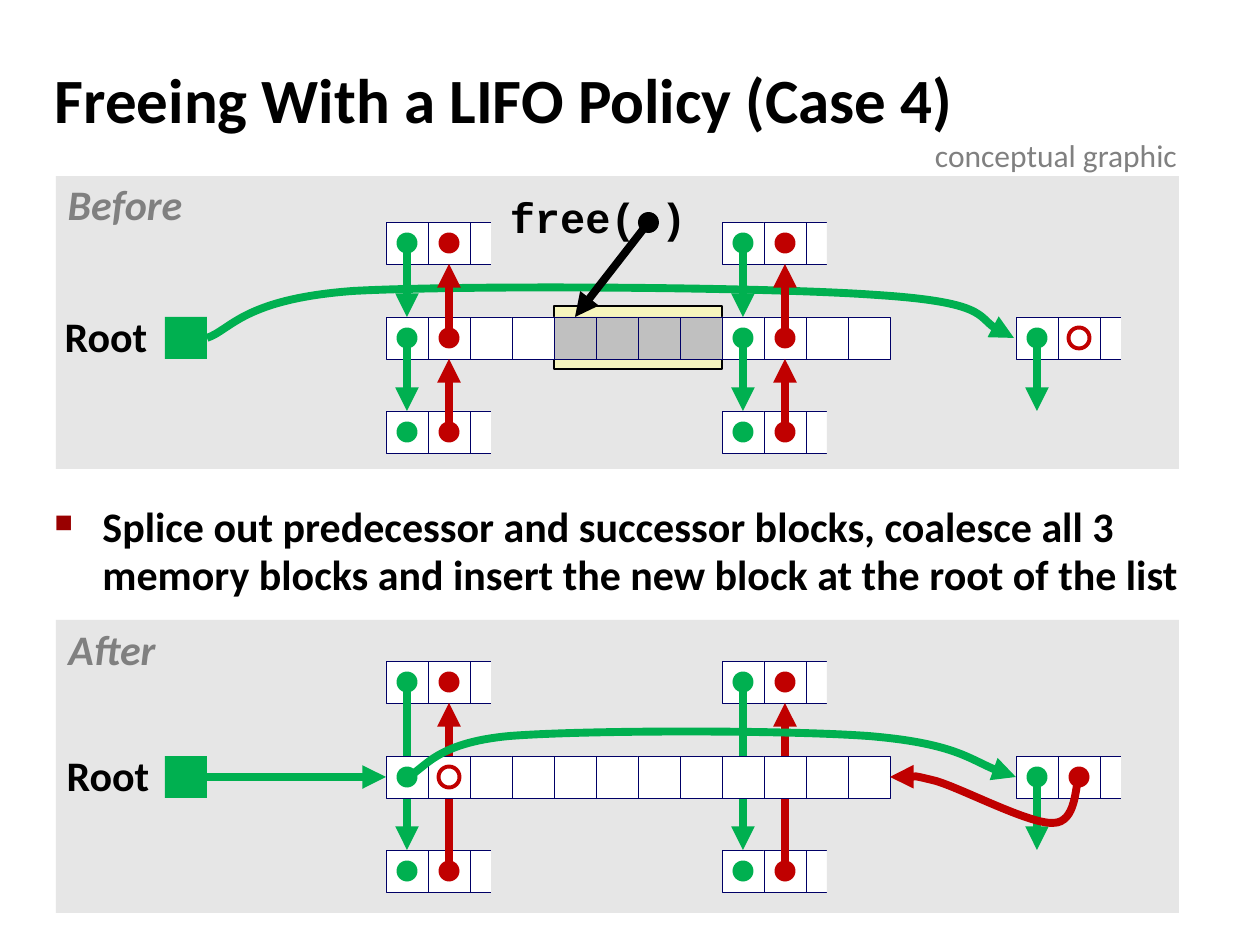
from lxml import etree
from pptx import Presentation
from pptx import util as u
from pptx.dml.color import RGBColor
from pptx.enum import shapes, text
from pptx.oxml.ns import qn

GREEN, RED, BLACK, WHITE, NAVY = "00B050", "C00000", "000000", "FFFFFF", "000066"
PANEL, GREY, FREED, YELLOW = "E6E6E6", "808080", "C0C0C0", "F6F5BD"

TITLE = "Freeing With a LIFO Policy (Case 4)"
STEP = ("Splice out predecessor and successor blocks, coalesce all 3 memory blocks "
        "and insert the new block at the root of the list")
CELL, DOT, LEFT, ROOT_X = 42, 21, 386, 165
BLOCK_COLS = 12

BEFORE = dict(
    panel=(56, 176, 1123, 293), rows=(222, 317, 411),
    label=("Before", 60, 178, 130), root=(58, 310), block_first=True, freed=range(4, 8),
    links=[(GREEN, c, r, r + 1) for c in (0, 8) for r in (0, 1)]
    + [(RED, c, r, r - 1) for c in (1, 9) for r in (2, 1)],
    dots={GREEN: [(c, r) for c in (0, 8) for r in range(3)] + [(15, 1)],
          RED: [(c, r) for c in (1, 9) for r in range(3)]},
    ring=(16, 1),
    under=[(GREEN, [(207, 338), (231, 330), (243, 299), (354, 291), (466, 285), (765, 287),
                    (876, 295), (985, 302), (985, 329), (1014, 338)])],
    over=[])
AFTER = dict(
    panel=(56, 620, 1123, 293), rows=(661, 756, 850),
    label=("After", 61, 623, 102), root=(60, 749), block_first=False, freed=(),
    links=[(GREEN, c, 0, 2) for c in (0, 8)] + [(RED, c, 2, 0) for c in (1, 9)],
    dots={GREEN: [(0, 0), (0, 1), (0, 2), (8, 0), (8, 2), (15, 1)],
          RED: [(c, r) for c in (1, 9) for r in (0, 2)] + [(16, 1)]},
    ring=(1, 1),
    under=[],
    over=[(GREEN, [(407, 777), (425, 770), (433, 743), (510, 736), (587, 730), (784, 730),
                   (868, 736), (953, 743), (985, 769), (1016, 777)]),
          (RED, [(1079, 777), (1075, 785), (1077, 823), (1053, 823), (1029, 824), (963, 789),
                 (936, 781), (908, 774), (900, 777), (890, 777)])])
STUBS = [(0, 0), (8, 0), (0, 2), (8, 2), (15, 1)]


def px(n):
    return u.Emu(round(n * 914400 / 126))


def rgb(color):
    return RGBColor.from_string(color)


def box(parent, kind, x, y, w, h, fill=None, line=None, weight=0.25):
    part = parent.add_shape(kind, px(x), px(y), px(w), px(h))
    part.shadow.inherit = False
    if fill:
        part.fill.solid()
        part.fill.fore_color.rgb = rgb(fill)
    else:
        part.fill.background()
    if line:
        part.line.color.rgb = rgb(line)
        part.line.width = u.Pt(weight)
    else:
        part.line.fill.background()
    return part


def rect(parent, *args, **style):
    return box(parent, shapes.MSO_SHAPE.RECTANGLE, *args, **style)


def cell(parent, x, y, fill=WHITE):
    return rect(parent, x, y, CELL, CELL, fill, NAVY)


def dot(x, y, fill=None, line=None):
    box(slide.shapes, shapes.MSO_SHAPE.OVAL, x - DOT / 2, y - DOT / 2, DOT, DOT, fill, line, 2.25)


def arrowhead(part, color):
    part.line.color.rgb = rgb(color)
    part.line.width = u.Pt(4.5)
    etree.SubElement(part.line._get_or_add_ln(), qn("a:tailEnd"), type="triangle")


def arrow(color, x1, y1, x2, y2):
    link = slide.shapes.add_connector(shapes.MSO_CONNECTOR.STRAIGHT, px(x1), px(y1), px(x2), px(y2))
    arrowhead(link, color)
    etree.SubElement(link._element.spPr, qn("a:effectLst"))
    return link


def curve(color, points):
    builder = slide.shapes.build_freeform(*points[0], scale=px(1))
    builder.add_line_segments(points[1:], close=False)
    bend = builder.convert_to_shape()
    bend.shadow.inherit = False
    bend.fill.background()
    arrowhead(bend, color)
    outline = next(bend._element.iter(qn("a:path")))
    segments = outline.findall(qn("a:lnTo"))
    for i in range(0, len(segments), 3):
        bezier = etree.SubElement(outline, qn("a:cubicBezTo"))
        for segment in segments[i:i + 3]:
            bezier.append(segment[0])
            outline.remove(segment)


def write(frame, words, size, color=BLACK, face="Calibri", bold=True, italic=False, spacing=None):
    frame.text = words
    line = frame.paragraphs[0]
    line.line_spacing = spacing
    font = line.runs[0].font
    font.size, font.name, font.bold, font.italic = u.Pt(size), face, bold, italic
    font.color.rgb = rgb(color)
    return line


def label(words, x, y, w, h=59, inset=6, size=24, align=text.PP_ALIGN.CENTER, spacing=0.9, **style):
    frame = slide.shapes.add_textbox(px(x), px(y), px(w), px(h)).text_frame
    frame.word_wrap = False
    frame.margin_left = frame.margin_right = px(inset)
    frame.margin_top = frame.margin_bottom = px(6)
    write(frame, words, size, spacing=spacing, **style).alignment = align


def draw_heap(state):
    rows, cells = state["rows"], {}
    middle = rows[1] + CELL / 2

    def col_x(col):
        return LEFT + col * CELL

    def center(col, row):
        return col_x(col) + CELL / 2, rows[row] + CELL / 2

    def draw_block():
        for col in range(BLOCK_COLS):
            fill = FREED if col in state["freed"] else WHITE
            cells[col, 1] = cell(slide.shapes, col_x(col), rows[1], fill)

    def draw_links():
        for color, col, start, end in state["links"]:
            link = arrow(color, *center(col, start), *center(col, end))
            link.end_connect(cells[col, end], 0 if end > start else 2)

    rect(slide.shapes, *state["panel"], PANEL)
    if state["freed"]:
        rect(slide.shapes, col_x(state["freed"][0]), rows[1] - 11,
             len(state["freed"]) * CELL, 63, YELLOW, BLACK, 0.75)
    for points in state["under"]:
        curve(*points)
    for col, row in STUBS:
        stub = slide.shapes.add_group_shape().shapes
        for k in range(3):
            cells[col + k, row] = cell(stub, col_x(col + k), rows[row])
        rect(stub, col_x(col + 2.5), rows[row] - 10, CELL, 63, PANEL)
    for draw in (draw_block, draw_links) if state["block_first"] else (draw_links, draw_block):
        draw()
    arrow(GREEN, *center(15, 1), center(15, 1)[0], rows[2])
    root = rect(slide.shapes, ROOT_X, rows[1], CELL, CELL, GREEN)
    if not state["under"]:
        link = arrow(GREEN, ROOT_X + CELL, middle, LEFT, middle)
        link.begin_connect(root, 3)
        link.end_connect(cells[0, 1], 1)
    for color, spots in state["dots"].items():
        for spot in spots:
            dot(*center(*spot), color)
    dot(*center(*state["ring"]), line=RED)
    for points in state["over"]:
        curve(*points)
    label("Root", *state["root"], 96)
    label(*state["label"], color=GREY, italic=True)
    return cells


deck = Presentation()
deck.slide_width, deck.slide_height = px(1260), px(945)
slide = deck.slides.add_slide(deck.slide_layouts[5])

title = slide.shapes.title
title.left, title.top, title.width, title.height = px(42), px(50), px(1201), px(108)
title.text_frame.vertical_anchor = text.MSO_ANCHOR.MIDDLE
title.text_frame.auto_size = text.MSO_AUTO_SIZE.NONE
write(title.text_frame, TITLE, 36, spacing=0.87).alignment = text.PP_ALIGN.LEFT

heap = draw_heap(BEFORE)
draw_heap(AFTER)

label("free( )", 503, 191, 190, face="Courier New")
dot(648.5, 222.5, BLACK)
arrow(BLACK, 648.5, 222.5, 575, 317).end_connect(heap[4, 1], 0)

step = slide.shapes.add_textbox(px(42), px(498), px(1168), px(120)).text_frame
step.word_wrap = True
bullet = write(step, STEP, 24, spacing=0.95)._p.get_or_add_pPr()
bullet.set("marL", str(px(48)))
bullet.set("indent", str(px(-48)))
tint = etree.SubElement(bullet, qn("a:buClr"))
etree.SubElement(tint, qn("a:srgbClr"), val="990000")
etree.SubElement(bullet, qn("a:buSzPct"), val="60000")
etree.SubElement(bullet, qn("a:buChar"), char="■")

label("conceptual graphic", 922, 130, 273, 50, inset=13, size=18, color=GREY, bold=False,
      align=text.PP_ALIGN.LEFT, spacing=None)

deck.save("out.pptx")
